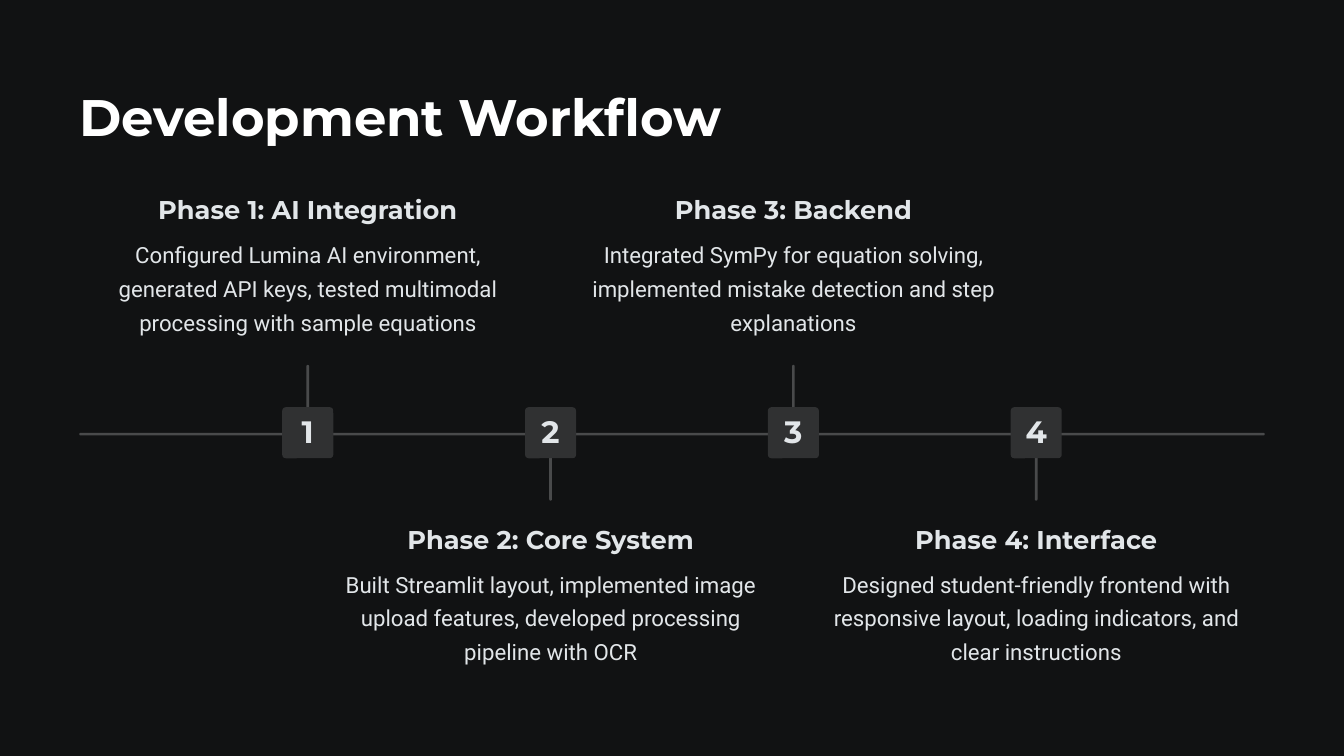
"""Build the Development Workflow timeline slide."""
import pptx
import pptx.dml.color
import pptx.enum.shapes
import pptx.enum.text
import pptx.util

TITLE = "Development Workflow"
PHASES = [
    ("Phase 1: AI Integration",
     "Configured Lumina AI environment, generated API keys, tested multimodal "
     "processing with sample equations"),
    ("Phase 2: Core System",
     "Built Streamlit layout, implemented image upload features, developed "
     "processing pipeline with OCR"),
    ("Phase 3: Backend",
     "Integrated SymPy for equation solving, implemented mistake detection and "
     "step explanations"),
    ("Phase 4: Interface",
     "Designed student-friendly frontend with responsive layout, loading "
     "indicators, and clear instructions"),
]
BACKGROUND, WHITE, TEXT, BAR, BADGE = "111213", "FFFFFF", "E2E6E9", "494A4B", "303132"
PX = 9144
WIDTH, HEIGHT = 2000, 1125
MARGIN = 118
RAIL_Y, BAR_WIDTH, STEM_LENGTH = 644, 4, 101
FIRST_X, LAST_X = 458, 1542
BADGE_SIZE = 76
HEADING_WIDTH, HEADING_HEIGHT = 447, 50
BODY_WIDTH, BODY_HEIGHT, BODY_OFFSET = 613, 160, 62
TOP_TEXT, BOTTOM_TEXT = 287, 777
CENTER = pptx.enum.text.PP_ALIGN.CENTER
LEFT = pptx.enum.text.PP_ALIGN.LEFT


def px(*values):
    return [round(v * PX) for v in values]


def rgb(value):
    return pptx.dml.color.RGBColor.from_string(value)


def write(tf, text, size, spacing, font, color=TEXT, bold=True, align=CENTER):
    tf.word_wrap = True
    tf.margin_left = tf.margin_right = tf.margin_top = tf.margin_bottom = 0
    tf.text = text
    p = tf.paragraphs[0]
    p.alignment = align
    p.line_spacing = pptx.util.Pt(spacing)
    r = p.runs[0]
    r.font.size = pptx.util.Pt(size)
    r.font.name = font
    r.font.bold = bold
    r.font.color.rgb = rgb(color)


def add_text(s, box, *args, **kwargs):
    write(s.shapes.add_textbox(*px(*box)).text_frame, *args, **kwargs)


def add_rounded(s, box, color, rounding):
    sp = s.shapes.add_shape(
        pptx.enum.shapes.MSO_SHAPE.ROUNDED_RECTANGLE, *px(*box))
    sp.adjustments[0] = rounding
    sp.shadow.inherit = False
    sp.fill.solid()
    sp.fill.fore_color.rgb = rgb(color)
    sp.line.fill.background()
    return sp


def add_badge(s, x, number):
    half = BADGE_SIZE / 2
    badge = add_rounded(s, (x - half, RAIL_Y - half, BADGE_SIZE, BADGE_SIZE),
                        BADGE, 0.07)
    tf = badge.text_frame
    write(tf, str(number), 33.1, 33.1, "Montserrat")
    tf.margin_top = px(4)[0]
    tf.vertical_anchor = pptx.enum.text.MSO_ANCHOR.MIDDLE


def add_phase(s, index, heading, body):
    x = FIRST_X + index * (LAST_X - FIRST_X) / (len(PHASES) - 1)
    if index % 2 == 0:
        stem_top, top = RAIL_Y - STEM_LENGTH, TOP_TEXT
    else:
        stem_top, top = RAIL_Y, BOTTOM_TEXT
    add_rounded(s, (x - BAR_WIDTH / 2, stem_top, BAR_WIDTH, STEM_LENGTH), BAR, 0.5)
    add_badge(s, x, index + 1)
    add_text(s, (x - HEADING_WIDTH / 2, top, HEADING_WIDTH, HEADING_HEIGHT),
             heading, 27.5, 34.4, "Montserrat")
    add_text(s, (x - BODY_WIDTH / 2, top + BODY_OFFSET, BODY_WIDTH, BODY_HEIGHT),
             body, 23.8, 36.2, "Roboto", bold=False)


def main():
    prs = pptx.Presentation()
    prs.slide_width, prs.slide_height = px(WIDTH, HEIGHT)
    s = prs.slides.add_slide(prs.slide_layouts[6])
    s.background.fill.solid()
    s.background.fill.fore_color.rgb = rgb(BACKGROUND)
    add_text(s, (MARGIN, 123, 959, 99), TITLE, 55, 68.8, "Montserrat",
             color=WHITE, align=LEFT)
    add_rounded(s, (MARGIN, RAIL_Y, WIDTH - 2 * MARGIN, BAR_WIDTH), BAR, 0.5)
    for index, (heading, body) in enumerate(PHASES):
        add_phase(s, index, heading, body)
    prs.save("out.pptx")


if __name__ == "__main__":
    main()
